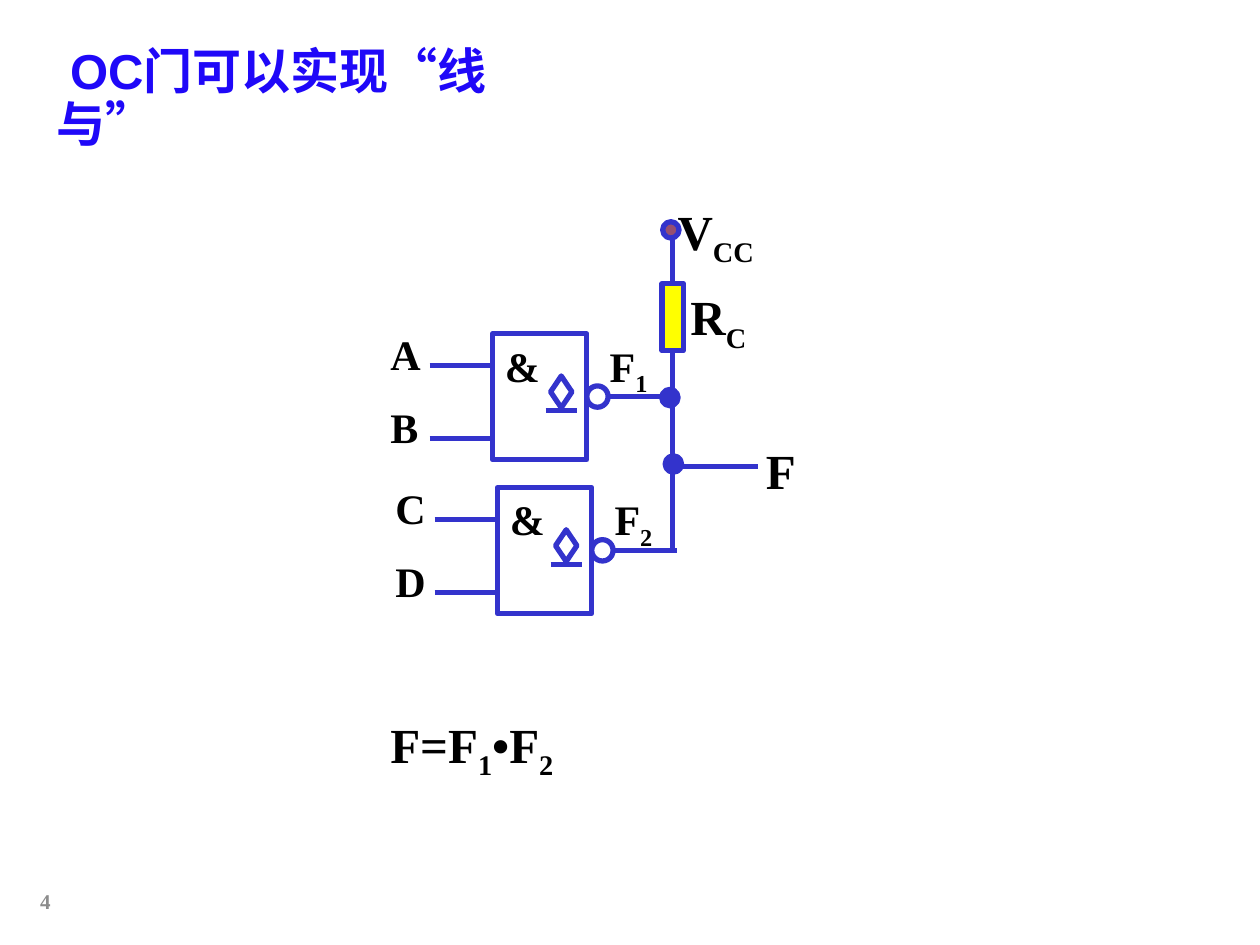
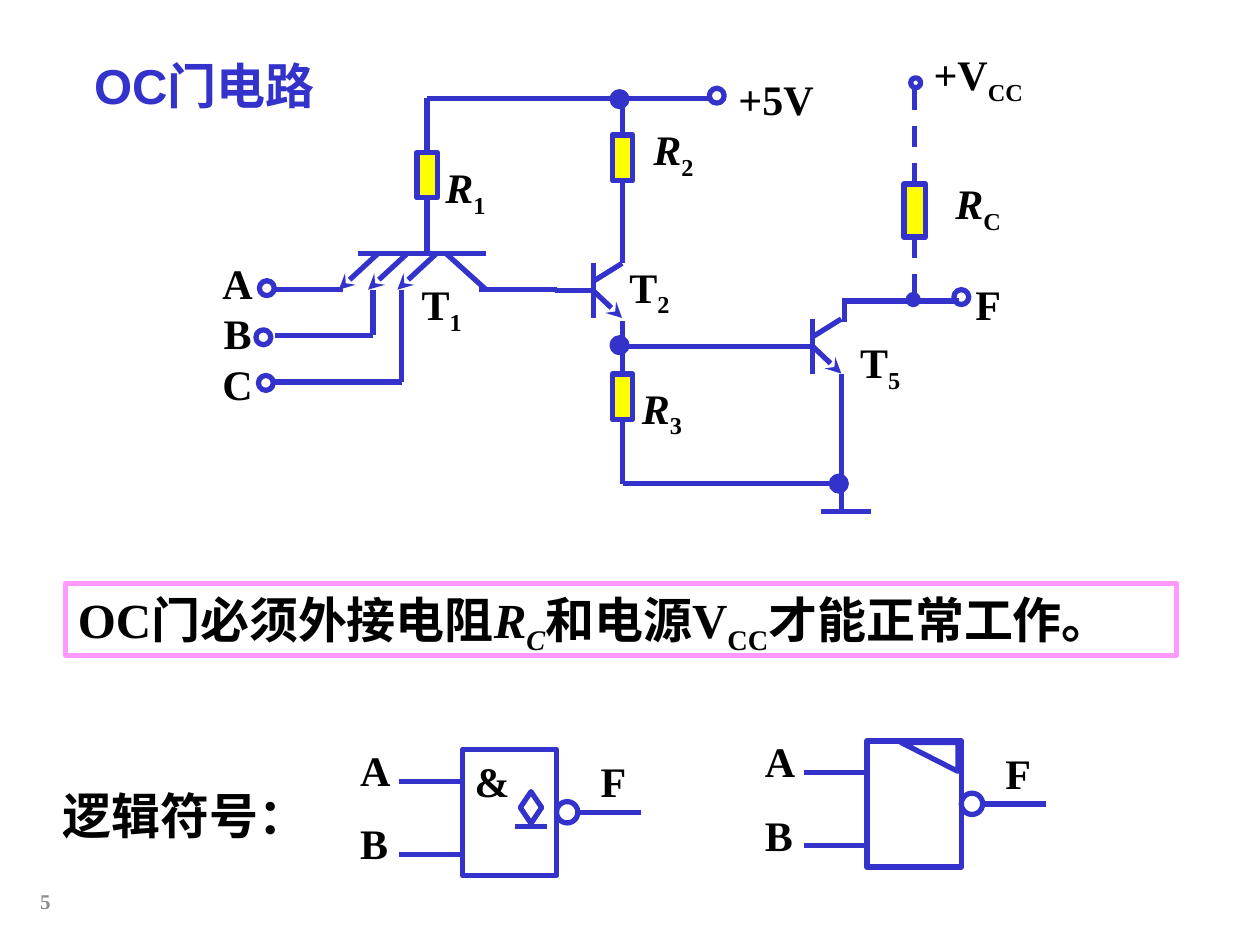
from lxml import etree
from pptx import Presentation
from pptx.dml.color import RGBColor
from pptx.enum.dml import MSO_LINE
from pptx.enum.shapes import MSO_CONNECTOR, MSO_SHAPE
from pptx.enum.text import MSO_ANCHOR, PP_ALIGN
from pptx.oxml.ns import qn
from pptx.util import Cm, Pt

RECT, OVAL = MSO_SHAPE.RECTANGLE, MSO_SHAPE.OVAL
DIAMOND, TRIANGLE = MSO_SHAPE.DIAMOND, MSO_SHAPE.RIGHT_TRIANGLE
STRAIGHT, DASH = MSO_CONNECTOR.STRAIGHT, MSO_LINE.DASH
LEFT, CENTER, RIGHT = PP_ALIGN.LEFT, PP_ALIGN.CENTER, PP_ALIGN.RIGHT
TOP, MIDDLE = MSO_ANCHOR.TOP, MSO_ANCHOR.MIDDLE
SIDE_TOP, SIDE_BOTTOM = 0, 2

COLORS = {
    "wire": "3333CC",
    "resistor": "FFFF00",
    "supply": "954F72",
    "banner": "FF99FF",
    "title": "1F08F8",
    "text": "000000",
    "number": "8C8C8C",
    "white": "FFFFFF",
}
SERIF, SANS, CJK = "Times New Roman", "Arial", "Noto Sans CJK SC"
LINE_WIDTH = Pt(3)


def rgb(name):
    return RGBColor.from_string(COLORS[name])


# Text: a paragraph is a list of (text, style); "i" is italic, "_" subscript
def add_runs(p, parts, size, color, font):
    for text, style in parts:
        r = p.add_run()
        r.text = text
        r.font.name = font
        r.font.size = Pt(size)
        r.font.bold = True
        r.font.italic = "i" in style
        r.font.color.rgb = rgb(color)
        rPr = r.font._element
        if "_" in style:
            rPr.set("baseline", "-25000")
        etree.SubElement(rPr, qn("a:ea"), typeface=CJK)


def label(s, x, y, w, h, *paragraphs, size=24, color="text", font=SERIF,
          align=LEFT, anchor=TOP):
    tf = s.shapes.add_textbox(Cm(x), Cm(y), Cm(w), Cm(h)).text_frame
    tf.word_wrap = align != CENTER
    tf.vertical_anchor = anchor
    for i, parts in enumerate(paragraphs):
        p = tf.add_paragraph() if i else tf.paragraphs[0]
        p.alignment = align
        add_runs(p, parts, size, color, font)
    return tf


def centred(s, x, y, w, *paragraphs, h=1.27):
    return label(s, x, y, w, h, *paragraphs, align=CENTER, anchor=MIDDLE)


def title(s, x, y, w, h, text, color):
    tf = label(s, x, y, w, h, [(text, "")], size=28, color=color, font=SANS,
               anchor=MIDDLE)
    tf.paragraphs[0].line_spacing = 0.9


def page_number(s, number):
    label(s, 0, 17.65, 1.27, 1.02, [(number, "")], size=12, color="number",
          align=RIGHT, anchor=MIDDLE)


# Circuit parts
def part(s, kind, x, y, w, h, fill=None, line="wire"):
    sp = s.shapes.add_shape(kind, Cm(x), Cm(y), Cm(w), Cm(h))
    sp.shadow.inherit = False
    if fill:
        sp.fill.solid()
        sp.fill.fore_color.rgb = rgb(fill)
    else:
        sp.fill.background()
    sp.line.color.rgb = rgb(line)
    sp.line.width = LINE_WIDTH
    return sp


def node(s, x, y, d, fill=None):
    return part(s, OVAL, x, y, d, d, fill)


def wire(s, x1, y1, x2, y2, begin=None, end=None, dashed=False, arrow=False):
    c = s.shapes.add_connector(STRAIGHT, Cm(x1), Cm(y1), Cm(x2), Cm(y2))
    c.line.color.rgb = rgb("wire")
    c.line.width = LINE_WIDTH
    if dashed:
        c.line.dash_style = DASH
    if arrow:
        etree.SubElement(c.line._get_or_add_ln(), qn("a:tailEnd"), type="stealth")
    etree.SubElement(c._element.spPr, qn("a:effectLst"))
    if begin:
        c.begin_connect(begin, SIDE_BOTTOM)
    if end:
        c.end_connect(end, SIDE_TOP)


def resistor(s, center, y, w, h, top=None, bottom=None, dashed=False):
    """Resistor with wires up to height top and down to height bottom."""
    sp = part(s, RECT, center - w / 2, y, w, h, "resistor")
    if top is not None:
        wire(s, center, top, center, y, end=sp, dashed=dashed)
    if bottom is not None:
        wire(s, center, y + h, center, bottom, begin=sp, dashed=dashed)


def transistor(s, x, y):
    wire(s, x, y, x, y + 1.1)
    wire(s, x, y + 0.55, x + 0.58, y + 1.1, arrow=True)
    wire(s, x, y + 0.36, x + 0.58, y)
    wire(s, x - 0.78, y + 0.55, x, y + 0.55)


def gate(s, x, y, inputs, output, output_dx=2.54, open_collector=True):
    part(s, RECT, x, y, 1.9, 2.54)
    if open_collector:
        label(s, x, y, 1.5, 1.27, [("&", "")])
        part(s, DIAMOND, x + 1.17, y + 0.85, 0.43, 0.64)
        wire(s, x + 1.07, y + 1.55, x + 1.7, y + 1.55)
    else:
        sp = part(s, TRIANGLE, x + 0.69, y + 0.03, 1.14, 0.58, "white")
        sp.rotation = 180
    node(s, x + 1.9, y + 1.05, 0.43)
    wire(s, x + 2.34, y + 1.27, x + 3.61, y + 1.27)
    for dy in (0.64, 2.11):
        wire(s, x - 1.27, y + dy, x, y + dy)
    tf = label(s, x - 2.31, y - 0.23, 1.47, 2.82, *[[(c, "")] for c in inputs])
    tf.paragraphs[1].space_before = Pt(13)
    label(s, x + output_dx, y, 1.8, 1.27, output)


def wired_and_slide(s):
    title(s, 0.89, 1.22, 10.74, 1.6, " OC门可以实现“线与”", "title")
    page_number(s, "4")
    label(s, 7.62, 14.27, 4.37, 1.45,
          [("F=F", ""), ("1", "_"), ("•F", ""), ("2", "_")], size=28)

    # Pull-up branch and common output
    wire(s, 13.56, 4.7, 13.56, 11.13)
    resistor(s, 13.56, 5.72, 0.43, 1.35)
    node(s, 13.36, 4.47, 0.33, "supply")
    for x, y in ((13.34, 7.85), (13.41, 9.19)):
        node(s, x, y, 0.33, "wire")
    wire(s, 13.51, 9.4, 15.29, 9.4)
    for x, y, parts in (
        (13.41, 3.94, [("V", ""), ("CC", "_")]),
        (13.67, 5.66, [("R", ""), ("C", "_")]),
        (15.19, 8.76, [("F", "")]),
    ):
        label(s, x, y, 2.7, 1.45, parts, size=28)

    # Two gates with joined outputs
    gate(s, 9.93, 6.73, "AB", [("F", ""), ("1", "_")], 2.11)
    gate(s, 10.03, 9.83, "CD", [("F", ""), ("2", "_")], 2.11)


def circuit_slide(s):
    title(s, 1.65, 1.07, 5.74, 1.45, "OC门电路", "wire")
    page_number(s, "5")

    # Multi-emitter transistor T1 and its inputs
    wire(s, 7.21, 5.11, 9.8, 5.11)
    for i in range(3):
        x = 7.62 + 0.59 * i
        wire(s, x, 5.11, x - 0.79, 5.84, arrow=True)
    wire(s, 8.99, 5.11, 9.8, 5.84)
    wire(s, 5.54, 5.84, 6.91, 5.84)
    for x, y in ((7.52, 6.76), (8.1, 7.7)):
        wire(s, x, 5.84, x, y)
        wire(s, 5.54, y, x, y)
    for x, y in ((5.23, 5.66), (5.16, 6.65), (5.21, 7.57)):
        node(s, x, y, 0.3)
    centred(s, 4.22, 5.05, 1.14, *[[(c, "")] for c in "ABC"], h=3.33)

    # Transistors T2 and T5
    transistor(s, 11.96, 5.31)
    transistor(s, 16.38, 6.43)

    # Resistors with their wires
    resistor(s, 8.61, 3.07, 0.41, 0.92, 1.98, 5.11)
    resistor(s, 12.55, 2.72, 0.41, 0.92, 1.98, 5.31)
    resistor(s, 12.55, 7.54, 0.41, 0.92, 6.48, 9.75)
    resistor(s, 18.44, 3.71, 0.43, 1.07, 1.8, 6.2, dashed=True)

    # Remaining wires: supply, T2 base, T5 base, ground, output
    for ends in (
        (8.61, 1.98, 14.35, 1.98),
        (9.65, 5.84, 11.23, 5.84),
        (12.55, 6.99, 15.75, 6.99),
        (12.55, 9.75, 16.92, 9.75),
        (16.97, 7.54, 16.97, 10.31),
        (16.56, 10.31, 17.55, 10.31),
        (16.97, 6.07, 19.33, 6.07),
        (17.02, 6.5, 17.02, 6.07),
    ):
        wire(s, *ends)

    # Terminals and junctions
    node(s, 14.3, 1.78, 0.3)
    node(s, 19.23, 5.84, 0.3)
    node(s, 18.36, 1.57, 0.2)
    node(s, 18.31, 5.94, 0.2, "wire")
    for x, y in ((12.34, 6.81), (12.34, 1.85), (16.76, 9.6)):
        node(s, x, y, 0.3, "wire")

    # Names of the parts
    for x, y, name, style, index in (
        (8.23, 5.56, "T", "", "1"),
        (12.42, 5.21, "T", "", "2"),
        (17.07, 6.73, "T", "", "5"),
        (8.71, 3.2, "R", "i", "1"),
        (12.9, 2.44, "R", "i", "2"),
        (12.67, 7.65, "R", "i", "3"),
        (18.64, 3.53, "R", "i", "C"),
    ):
        centred(s, x, y, 1.35 if index != "C" else 2.16, [(name, style), (index, "_")])
    centred(s, 14.63, 1.35, 2.03, [("+5V", "")])
    centred(s, 19.41, 5.49, 1.02, [("F", "")])
    label(s, 18.57, 0.86, 2.8, 1.27, [("+V", ""), ("CC", "_")])

    # Banner
    part(s, RECT, 1.32, 11.76, 22.4, 1.45, line="banner")
    label(s, 1.32, 11.76, 22.4, 1.45,
          [("OC门必须外接电阻", ""), ("R", "i"), ("C", "i_"), ("和电源", ""),
           ("V", ""), ("CC", "_"), ("才能正常工作。", "")], size=28)

    # Logic symbols
    label(s, 1.02, 15.72, 5.79, 1.45, [("逻辑符号：", "")], size=28)
    gate(s, 9.32, 15.11, "AB", [("F", "")])
    gate(s, 17.48, 14.94, "AB", [("F", "")], open_collector=False)


def main():
    prs = Presentation()
    prs.slide_width, prs.slide_height = Cm(25.4), Cm(19.05)
    blank = prs.slide_layouts[6]
    for build in (wired_and_slide, circuit_slide):
        build(prs.slides.add_slide(blank))
    prs.save("out.pptx")


if __name__ == "__main__":
    main()
